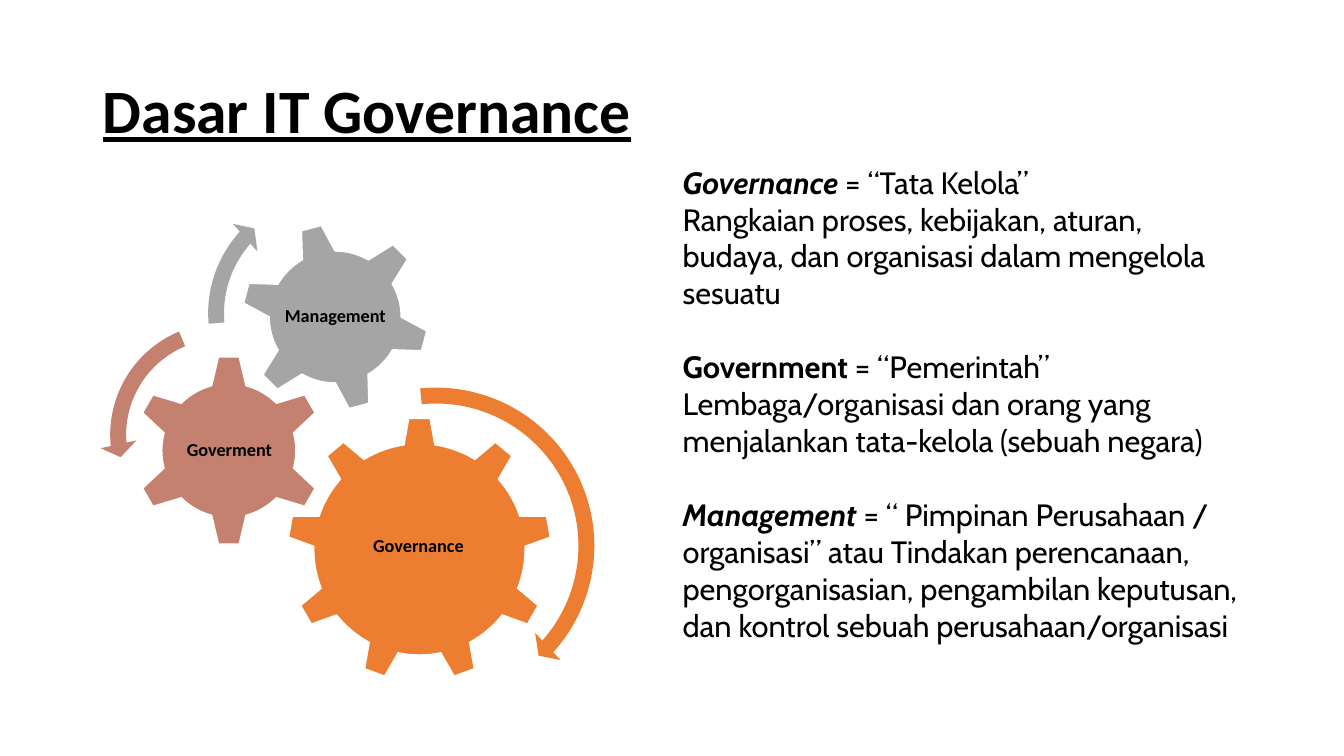
from dataclasses import dataclass

from pptx import Presentation
from pptx.enum import shapes as kinds, text as layout
from pptx.dml.color import RGBColor
from pptx.util import Inches, Pt

COLORS = {
    "text": "000000",
    "outline": "FFFFFF",
    "governance": "ED7D31",
    "government": "C48170",
    "management": "A5A5A5",
}
GEAR_6, GEAR_9 = kinds.MSO_SHAPE.GEAR_6, kinds.MSO_SHAPE.GEAR_9
CLOCKWISE = kinds.MSO_SHAPE.CIRCULAR_ARROW
COUNTERCLOCKWISE = kinds.MSO_SHAPE.LEFT_CIRCULAR_ARROW
LINE_GAP = Pt(26.4)


@dataclass
class Box:
    left: float
    top: float
    width: float
    height: float

    def inches(self):
        return [Inches(v) for v in (self.left, self.top, self.width, self.height)]


@dataclass
class Gear:
    label: str
    color: str
    kind: kinds.MSO_SHAPE
    box: Box
    label_box: Box
    rotation: float = 0


@dataclass
class Arrow:
    """Thickness and head are percentages; the angles are degrees."""
    color: str
    kind: kinds.MSO_SHAPE
    box: Box
    thickness: float
    head_angle: float
    end_angle: float
    start_angle: float
    head: float


@dataclass
class Run:
    text: str
    bold: bool = False
    italic: bool = False


@dataclass
class Line:
    runs: list[Run]
    starts_section: bool = False


GEARS = [
    Gear("Governance", "governance", GEAR_9,
         Box(2.85, 4.14, 2.62, 2.62), Box(3.37, 4.75, 1.56, 1.35)),
    Gear("Goverment", "government", GEAR_6,
         Box(1.32, 3.52, 1.9, 1.9), Box(1.8, 4, 0.95, 0.94)),
    Gear("Management", "management", GEAR_6,
         Box(2.39, 2.21, 1.87, 1.87), Box(2.8, 2.62, 1.05, 1.05), 345),
]
ARROWS = [
    Arrow("governance", CLOCKWISE, Box(2.65, 3.74, 3.35, 3.35),
          4.7, 4.98, 42, 264.22, 5.5),
    Arrow("government", COUNTERCLOCKWISE, Box(0.99, 3.1, 2.43, 2.43),
          6.5, 7.17, 174.82, 247.3, 7.5),
    Arrow("management", CLOCKWISE, Box(1.96, 1.8, 2.62, 2.62),
          6, 6.57, 221.9, 175.14, 7),
]
DEFINITIONS = [
    Line([Run("Governance ", True, True), Run("= “Tata Kelola”")]),
    Line([Run("Rangkaian proses, kebijakan, aturan, budaya, dan organisasi "
              "dalam mengelola sesuatu")]),
    Line([Run("Government", True), Run(" = “Pemerintah”")], True),
    Line([Run("Lembaga/organisasi dan orang yang menjalankan tata-kelola "
              "(sebuah negara)")]),
    Line([Run("Management", True, True),
          Run(" = “ Pimpinan Perusahaan / organisasi” atau Tindakan "
              "perencanaan, pengorganisasian, pengambilan keputusan, dan "
              "kontrol sebuah perusahaan/organisasi")], True),
]


def color(name: str) -> RGBColor:
    return RGBColor.from_string(COLORS[name])


def add_run(paragraph, content: Run, size: float, font_name: str):
    run = paragraph.add_run()
    run.text = content.text
    font = run.font
    font.name, font.size = font_name, Pt(size)
    font.bold, font.italic = content.bold, content.italic
    font.color.rgb = color("text")
    return run


def place(shape, box: Box) -> None:
    shape.left, shape.top, shape.width, shape.height = box.inches()


def add_filled(group, kind: kinds.MSO_SHAPE, box: Box, fill: str):
    shape = group.shapes.add_shape(kind, *box.inches())
    shape.shadow.inherit = False
    shape.fill.solid()
    shape.fill.fore_color.rgb = color(fill)
    return shape


def add_gear(group, gear: Gear) -> None:
    shape = add_filled(group, gear.kind, gear.box, gear.color)
    shape.rotation = gear.rotation
    shape.line.color.rgb = color("outline")
    shape.line.width = Pt(1)

    frame = group.shapes.add_textbox(*gear.label_box.inches()).text_frame
    frame.word_wrap = True
    frame.vertical_anchor = layout.MSO_ANCHOR.MIDDLE
    frame.margin_left = frame.margin_right = Inches(0.02)
    frame.margin_top = frame.margin_bottom = Inches(0.02)
    paragraph = frame.paragraphs[0]
    paragraph.alignment = layout.PP_ALIGN.CENTER
    paragraph.line_spacing = 0.9
    add_run(paragraph, Run(gear.label, True), 13, "Calibri")


def add_arrow(group, arrow: Arrow) -> None:
    shape = add_filled(group, arrow.kind, arrow.box, arrow.color)
    shape.line.fill.background()
    angles = (arrow.head_angle, arrow.end_angle, arrow.start_angle)
    # Angles are stored in 60000ths of a degree, adjustments in 100000ths
    values = [arrow.thickness / 100, *(a * 0.6 for a in angles), arrow.head / 100]
    for index, value in enumerate(values):
        shape.adjustments[index] = value


def add_line(frame, index: int, line: Line) -> None:
    paragraph = frame.add_paragraph() if index else frame.paragraphs[0]
    paragraph.alignment = layout.PP_ALIGN.LEFT
    paragraph.line_spacing = 1.0
    paragraph.space_before = LINE_GAP if line.starts_section else Pt(0)
    properties = paragraph._p.get_or_add_pPr()
    properties.set("marL", "0")
    properties.set("indent", "0")
    no_bullet = properties.makeelement(
        "{http://schemas.openxmlformats.org/drawingml/2006/main}buNone", {})
    properties.append(no_bullet)
    for run in line.runs:
        add_run(paragraph, run, 22, "Cabin")


presentation = Presentation()
presentation.slide_width = Inches(13.33)
presentation.slide_height = Inches(7.5)
slide = presentation.slides.add_slide(presentation.slide_layouts[1])

# Title
title = slide.shapes.title
place(title, Box(0.92, 0.4, 11.5, 1.45))
title.text_frame.vertical_anchor = layout.MSO_ANCHOR.MIDDLE
heading = title.text_frame.paragraphs[0]
heading.alignment = layout.PP_ALIGN.LEFT
heading.line_spacing = 0.9
add_run(heading, Run("Dasar IT Governance", True), 44, "Calibri").font.underline = True

# Gears and their turning arrows
gear_group = slide.shapes.add_group_shape()
for gear in GEARS:
    add_gear(gear_group, gear)
for arrow in ARROWS:
    add_arrow(gear_group, arrow)

# Definitions
body = slide.placeholders[1]
place(body, Box(6.67, 1.57, 5.75, 5.65))
body.text_frame.word_wrap = True
body.text_frame.auto_size = layout.MSO_AUTO_SIZE.SHAPE_TO_FIT_TEXT
for index, line in enumerate(DEFINITIONS):
    add_line(body.text_frame, index, line)

presentation.save("out.pptx")
